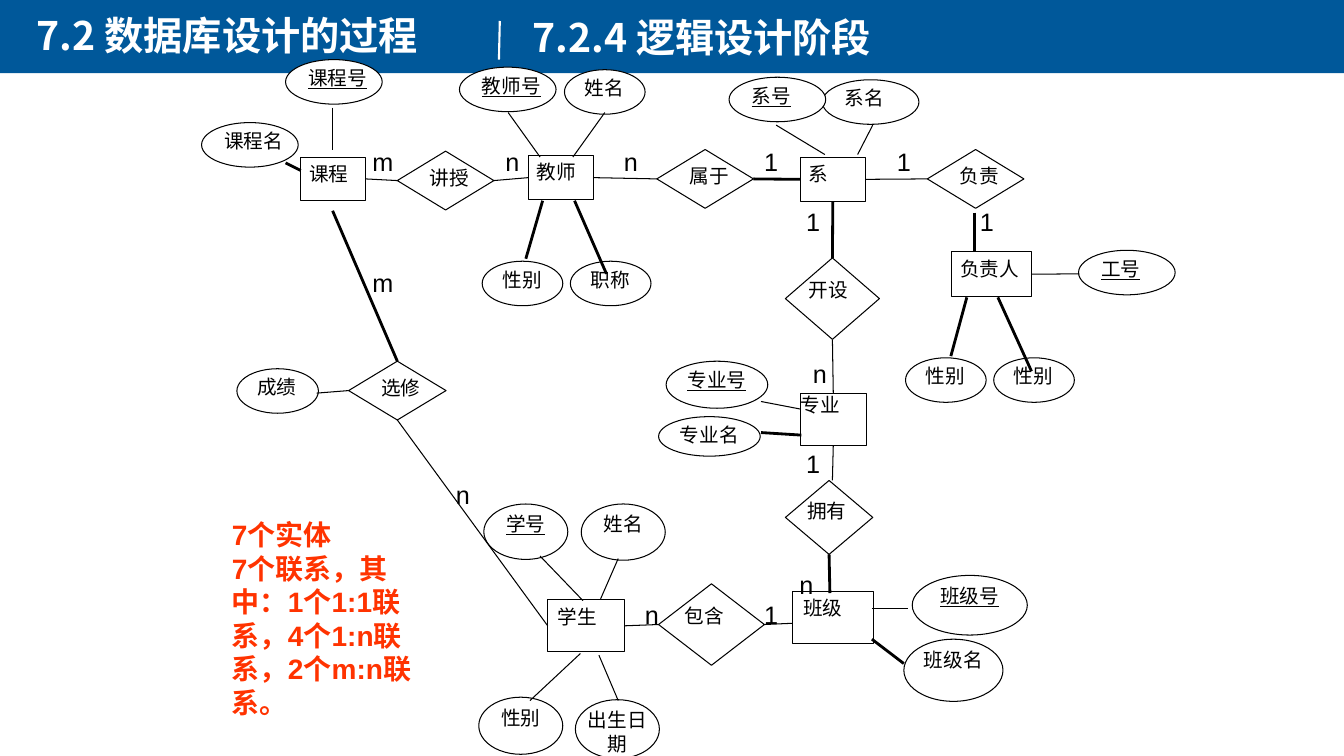
from pptx import Presentation
from pptx.dml.color import RGBColor
from pptx.enum.shapes import MSO_CONNECTOR, MSO_SHAPE as SHAPE
from pptx.enum.text import MSO_ANCHOR as ANCHOR, PP_ALIGN as ALIGN
from pptx.oxml.ns import qn
from pptx.util import Inches, Pt
from lxml.etree import SubElement

COLS, ROWS = 160, 90
BLUE = RGBColor(0x00, 0x58, 0x9A)
WHITE = RGBColor(0xFF, 0xFF, 0xFF)
BLACK = RGBColor(0x00, 0x00, 0x00)
ORANGE = RGBColor(0xFF, 0x33, 0x00)
CJK = "Noto Sans CJK SC"
TOP, LEFT, BOTTOM, RIGHT = range(4)
HAIR, THIN = 0, 0.75
RECT, DIAMOND, OVAL = (SHAPE.FLOWCHART_PROCESS, SHAPE.FLOWCHART_DECISION,
                       SHAPE.FLOWCHART_CONNECTOR)
# Insets are left, top, right, bottom in grid units
DEFAULT, ENTITY = (1.2, 0.6, 1.2, 0.6), (1, 0.6, 1.2, 0.6)
INDENT, FLUSH = (1, 0, 0, 0), (0, 0, 0, 0)

# Shape, insets, alignment, then (text, column, row, width, height)
NODES = [
    (RECT, FLUSH, ALIGN.JUSTIFY, [("专业", 95.3, 46.8, 7.8, 6.2)]),
    (RECT, DEFAULT, ALIGN.JUSTIFY, [
        ("班级", 94.4, 70.4, 9.6, 6.2), ("学生", 65.2, 71.4, 9.2, 6.2)]),
    (RECT, ENTITY, ALIGN.JUSTIFY, [
        ("课程", 35.8, 18.7, 7.7, 5.2), ("教师", 62.9, 18.5, 7.7, 5.3),
        ("系", 95.3, 18.7, 7.7, 5.3), ("负责人", 113.3, 30, 9.5, 5.3)]),
    (DIAMOND, FLUSH, ALIGN.JUSTIFY, [
        ("开设", 93.5, 30.7, 11.2, 9.7), ("拥有", 93.5, 57.2, 10.4, 8.8),
        ("包含", 78.4, 69.5, 12.6, 9.7)]),
    (DIAMOND, INDENT, ALIGN.JUSTIFY, [
        ("属于", 78.2, 17.8, 11.5, 7), ("讲授", 47.3, 18, 11.5, 7),
        ("负责", 110.4, 17.8, 11.5, 7), ("选修", 41.5, 43, 11.6, 7)]),
    (OVAL, FLUSH, ALIGN.CENTER, [
        ("专业名", 78.4, 49.6, 12.1, 4.7), ("专业号", 79.3, 43, 12.1, 5.6),
        ("班级号", 108.6, 68.5, 13.7, 7.1), ("班级名", 107.6, 76.1, 11.8, 7.4),
        ("学号", 57.6, 60, 10, 6.6), ("姓名", 69.2, 60, 10, 6.7),
        ("性别", 57, 83, 10, 6.8), ("出生日期", 68.5, 83.3, 10, 7)]),
    (OVAL, INDENT, ALIGN.JUSTIFY, [
        ("课程名", 24, 14.6, 11.5, 5.3), ("课程号", 34, 7.1, 11.5, 5.3),
        ("系名", 97.9, 9.5, 11.5, 5.3), ("系号", 86.8, 9.2, 11.5, 5.3),
        ("教师号", 54.7, 8, 11.5, 5.3), ("姓名", 67.2, 8.3, 9.6, 5.3),
        ("性别", 57.4, 31.1, 9.6, 5.3), ("职称", 67.9, 31.1, 9.6, 5.3),
        ("性别", 107.8, 42.6, 9.6, 5.3), ("性别", 118.3, 42.6, 9.6, 5.3),
        ("工号", 128.4, 29.8, 11.5, 5.3), ("成绩", 28.2, 43.9, 9.7, 5.3)]),
]

# An end is (column, row) or (node, side)
LINKS = {
    HAIR: [
        (("拥有", BOTTOM), (98.8, 70.6)), (("系", BOTTOM), ("开设", TOP)),
        (("属于", RIGHT), ("系", LEFT)), ((39.6, 25.1), ("选修", TOP)),
        ((95.4, 51.8), (90.6, 51.5)), ((103.8, 76.1), (107.6, 79)),
        ((72.2, 32.6), (68.4, 23.9)), ((34, 19.4), (35.8, 20.3)),
        ((64.6, 23.9), (62.6, 30.8)), ((116, 25.3), (116, 30)),
        ((122.8, 44.2), (118.8, 35.4)), ((115.1, 35.4), (113.2, 42.4))],
    THIN: [
        (("开设", BOTTOM), ("专业", TOP)), (("专业", BOTTOM), (99.1, 57.2)),
        (("学生", RIGHT), ("包含", LEFT)), (("包含", RIGHT), (94.4, 74.2)),
        (("课程", RIGHT), ("讲授", LEFT)), (("讲授", RIGHT), ("教师", LEFT)),
        (("教师", RIGHT), ("属于", LEFT)), (("系", RIGHT), ("负责", LEFT)),
        (("负责人", RIGHT), (128.5, 32.6)), (("学生", LEFT), ("选修", BOTTOM)),
        ((37.7, 46.8), ("选修", LEFT)), ((103.8, 72.4), (108.1, 72.4)),
        ((73.6, 66.5), (71.5, 71.3)), ((64.3, 66.2), (69.4, 71.5)),
        ((90.6, 47.8), (95.3, 48.7)), ((71.3, 78), (73.6, 83.4)),
        ((69.1, 77.8), (63.1, 83.4)), ((39.6, 12.8), (39.6, 17.9)),
        ((60.5, 13.4), (64.3, 18.7)), ((72, 13.4), (68.2, 18.7)),
        ((92.4, 14.9), (98.2, 18.4)), ((103.9, 14.9), (102.1, 18.4))],
}

# Text line number -> (cardinality, centre column)
CARDINALITIES = {
    0: [("m", 45.6), ("n", 61), ("n", 75.1), ("1", 91.8), ("1", 107.6)],
    2: [("1", 96.8), ("1", 117.5)],
    4: [("m", 45.6)],
    7: [("n", 97.6)],
    10: [("1", 96.8)],
    11: [("n", 55.1)],
    14: [("n", 96)],
    15: [("n", 77.6), ("1", 91.8)],
}
FIRST_LINE, LINE_PITCH, LABEL = 19.2, 3.6, 4


class Diagram:
    def __init__(self, prs):
        self.cell_w, self.cell_h = prs.slide_width / COLS, prs.slide_height / ROWS
        self.s = prs.slides.add_slide(prs.slide_layouts[6])
        self.nodes = {}

    def place(self, *lengths):
        """Turn alternating column and row values into EMU."""
        cells = (self.cell_w, self.cell_h)
        return [round(v * cells[i % 2]) for i, v in enumerate(lengths)]

    def fill_text(self, sp, lines, size, font, color=BLACK, bold=False,
                  align=ALIGN.LEFT, anchor=ANCHOR.TOP, insets=DEFAULT,
                  underline=False):
        tf = sp.text_frame
        tf.word_wrap, tf.vertical_anchor = True, anchor
        (tf.margin_left, tf.margin_top,
         tf.margin_right, tf.margin_bottom) = self.place(*insets)
        for i, line in enumerate(lines):
            p = tf.add_paragraph() if i else tf.paragraphs[0]
            p.alignment = align
            r = p.add_run()
            r.text = line
            f = r.font
            f.name, f.size, f.bold, f.underline = font, Pt(size), bold, underline
            f.color.rgb = color
            SubElement(r._r.get_or_add_rPr(), qn("a:ea")).set("typeface", CJK)

    def shape(self, kind, box, fill, line=None):
        sp = self.s.shapes.add_shape(kind, *self.place(*box))
        sp.shadow.inherit = False
        sp.fill.solid()
        sp.fill.fore_color.rgb = fill
        if line is None:
            sp.line.fill.background()
        else:
            sp.line.color.rgb = line
            sp.line.width = Pt(HAIR)
        return sp

    def node(self, kind, text, box, insets, align):
        """Draw an entity, relationship or attribute; key attributes are underlined."""
        sp = self.shape(kind, box, WHITE, BLACK)
        self.fill_text(sp, [text], 14, "Times New Roman", align=align,
                       insets=insets, underline=text.endswith("号"))
        if kind != OVAL:
            self.nodes[text] = sp

    def text(self, box, lines, size, font, **style):
        sp = self.s.shapes.add_textbox(*self.place(*box))
        self.fill_text(sp, lines, size, font, **style)

    def line(self, start, end, width, color=BLACK):
        joined = [e[0] in self.nodes for e in (start, end)]
        points = [(0, 0) if j else e for j, e in zip(joined, (start, end))]
        c = self.s.shapes.add_connector(
            MSO_CONNECTOR.STRAIGHT, *self.place(*points[0], *points[1]))
        if joined[0]:
            c.begin_connect(self.nodes[start[0]], start[1])
        if joined[1]:
            c.end_connect(self.nodes[end[0]], end[1])
        c.line.color.rgb = color
        c.line.width = Pt(width)
        SubElement(c._element.spPr, qn("a:effectLst"))


def main():
    prs = Presentation()
    prs.slide_width, prs.slide_height = Inches(13.33), Inches(7.5)
    d = Diagram(prs)

    d.shape(SHAPE.RECTANGLE, (0, 0, COLS, 8.7), BLUE)
    for title, box in (("7.2 数据库设计的过程", (3.2, 0.8, 58, 6.8)),
                       ("7.2.4 逻辑设计阶段", (62.2, 1, 97.8, 6.8))):
        d.text(box, [title], 28, CJK, color=WHITE, bold=True)
    d.line((59.5, 2.5), (59.4, 7.1), 1.5, WHITE)

    for kind, insets, align, items in NODES:
        for text, *box in items:
            d.node(kind, text, box, insets, align)
    for width, links in LINKS.items():
        for start, end in links:
            d.line(start, end, width)
    for number, labels in CARDINALITIES.items():
        row = FIRST_LINE + number * LINE_PITCH
        for text, col in labels:
            d.text((col - LABEL / 2, row - LABEL / 2, LABEL, LABEL), [text], 18,
                   "Arial", align=ALIGN.CENTER, anchor=ANCHOR.MIDDLE, insets=FLUSH)

    d.text((26.4, 61, 24.1, 25.2),
           ["7个实体", "7个联系，其中：1个1:1联系，4个1:n联系，2个m:n联系。"],
           20, "Arial", color=ORANGE, bold=True, anchor=ANCHOR.MIDDLE)
    prs.save("out.pptx")


if __name__ == "__main__":
    main()
